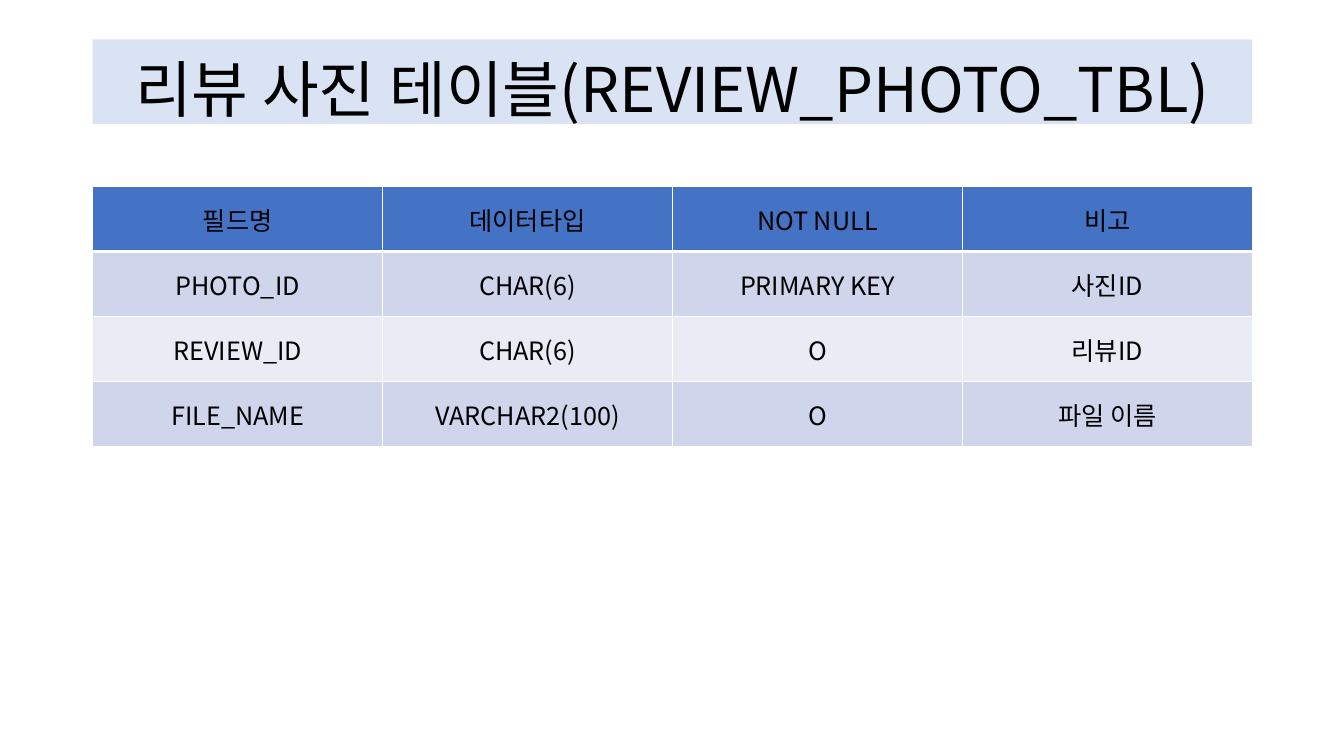
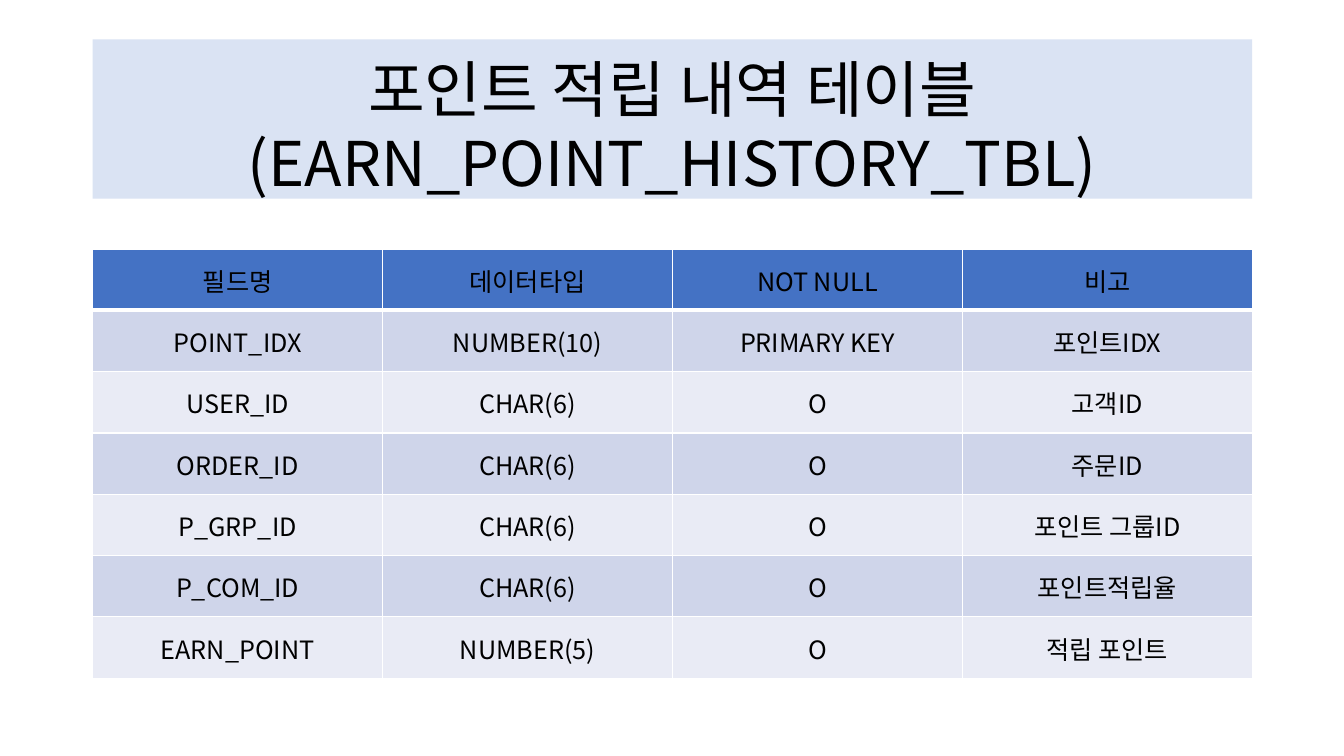
"""Build two slides that describe database tables."""
from dataclasses import dataclass

import pptx
import pptx.dml.color
import pptx.enum.shapes
import pptx.enum.text
import pptx.oxml.ns
import pptx.util
from lxml import etree

Inches = pptx.util.Inches
Pt = pptx.util.Pt
RGB = pptx.dml.color.RGBColor.from_string
PP_ALIGN = pptx.enum.text.PP_ALIGN
qn = pptx.oxml.ns.qn


@dataclass(frozen=True)
class Theme:
    font: str = "Noto Sans CJK KR"
    text: str = "000000"
    title_band: str = "DAE3F3"
    header: str = "4472C4"
    bands: tuple[str, str] = ("CFD5EA", "E9EBF5")
    border: str = "FFFFFF"
    title_size: int = 44
    title_leading: int = 53
    cell_size: int = 18
    thin: int = 1
    thick: int = 3
    left: float = 0.92
    top: float = 0.39
    width: float = 11.5


@dataclass(frozen=True)
class TableSlide:
    title: str
    title_height: float
    table_top: float
    table_height: float
    fields: tuple[tuple[str, str, str, str], ...]


THEME = Theme()
HEADINGS = ("필드명", "데이터타입", "NOT NULL", "비고")
SLIDES = (
    TableSlide(
        "리뷰 사진 테이블(REVIEW_PHOTO_TBL)", 0.84, 1.85, 2.58,
        (
            ("PHOTO_ID", "CHAR(6)", "PRIMARY KEY", "사진ID"),
            ("REVIEW_ID", "CHAR(6)", "O", "리뷰ID"),
            ("FILE_NAME", "VARCHAR2(100)", "O", "파일 이름"),
        ),
    ),
    TableSlide(
        "포인트 적립 내역 테이블(EARN_POINT_HISTORY_TBL)", 1.58, 2.47, 4.26,
        (
            ("POINT_IDX", "NUMBER(10)", "PRIMARY KEY", "포인트IDX"),
            ("USER_ID", "CHAR(6)", "O", "고객ID"),
            ("ORDER_ID", "CHAR(6)", "O", "주문ID"),
            ("P_GRP_ID", "CHAR(6)", "O", "포인트 그룹ID"),
            ("P_COM_ID", "CHAR(6)", "O", "포인트적립율"),
            ("EARN_POINT", "NUMBER(5)", "O", "적립 포인트"),
        ),
    ),
)


def set_attrs(target: object, values: dict) -> None:
    for name, value in values.items():
        setattr(target, name, value)


def write_text(tf, text: str, size: int) -> None:
    p = tf.paragraphs[0]
    p.alignment = PP_ALIGN.CENTER
    r = p.add_run()
    r.text = text
    set_attrs(r.font, {"name": THEME.font, "size": Pt(size), "bold": False})
    r.font.color.rgb = RGB(THEME.text)
    latin = r.font._element.find(qn("a:latin"))
    ea = etree.Element(qn("a:ea"), typeface=THEME.font)
    latin.addnext(ea)


def add_title(s, title: str, height: float) -> None:
    sp = s.shapes.add_shape(
        pptx.enum.shapes.MSO_SHAPE.RECTANGLE,
        Inches(THEME.left), Inches(THEME.top), Inches(THEME.width), Inches(height),
    )
    sp.shadow.inherit = False
    sp.fill.solid()
    sp.fill.fore_color.rgb = RGB(THEME.title_band)
    sp.line.fill.background()
    tf = sp.text_frame
    set_attrs(tf, {
        "word_wrap": True,
        "auto_size": pptx.enum.text.MSO_AUTO_SIZE.SHAPE_TO_FIT_TEXT,
        "vertical_anchor": pptx.enum.text.MSO_ANCHOR.TOP,
        "margin_top": Inches(0.11),
        "margin_bottom": 0,
    })
    write_text(tf, title, THEME.title_size)
    tf.paragraphs[0].line_spacing = Pt(THEME.title_leading)


def set_borders(cell, row: int) -> None:
    tc_pr = cell._tc.get_or_add_tcPr()
    widths = {
        "L": THEME.thin,
        "R": THEME.thin,
        "T": THEME.thick if row == 1 else THEME.thin,
        "B": THEME.thick if row == 0 else THEME.thin,
    }
    for side, width in widths.items():
        ln = etree.SubElement(tc_pr, qn(f"a:ln{side}"), w=str(Pt(width)))
        fill = etree.SubElement(ln, qn("a:solidFill"))
        etree.SubElement(fill, qn("a:srgbClr"), val=THEME.border)


def add_field_table(s, spec: TableSlide) -> None:
    rows = (HEADINGS, *spec.fields)
    table = s.shapes.add_table(
        len(rows), len(HEADINGS), Inches(THEME.left), Inches(spec.table_top),
        Inches(THEME.width), Inches(spec.table_height),
    ).table
    for col in table.columns:
        col.width = Inches(THEME.width / len(HEADINGS))
    for i, values in enumerate(rows):
        table.rows[i].height = Inches(spec.table_height / len(rows))
        color = THEME.bands[(i - 1) % 2] if i else THEME.header
        for j, text in enumerate(values):
            cell = table.cell(i, j)
            set_attrs(cell, {
                "vertical_anchor": pptx.enum.text.MSO_ANCHOR.MIDDLE,
                "margin_left": Inches(0.01),
                "margin_right": Inches(0.01),
                "margin_top": Inches(0.01),
                "margin_bottom": 0,
            })
            set_borders(cell, i)
            cell.fill.solid()
            cell.fill.fore_color.rgb = RGB(color)
            write_text(cell.text_frame, text, THEME.cell_size)


def main() -> None:
    prs = pptx.Presentation()
    set_attrs(prs, {"slide_width": Inches(13.33), "slide_height": Inches(7.5)})
    for spec in SLIDES:
        s = prs.slides.add_slide(prs.slide_layouts[6])
        add_title(s, spec.title, spec.title_height)
        add_field_table(s, spec)
    prs.save("out.pptx")


if __name__ == "__main__":
    main()
